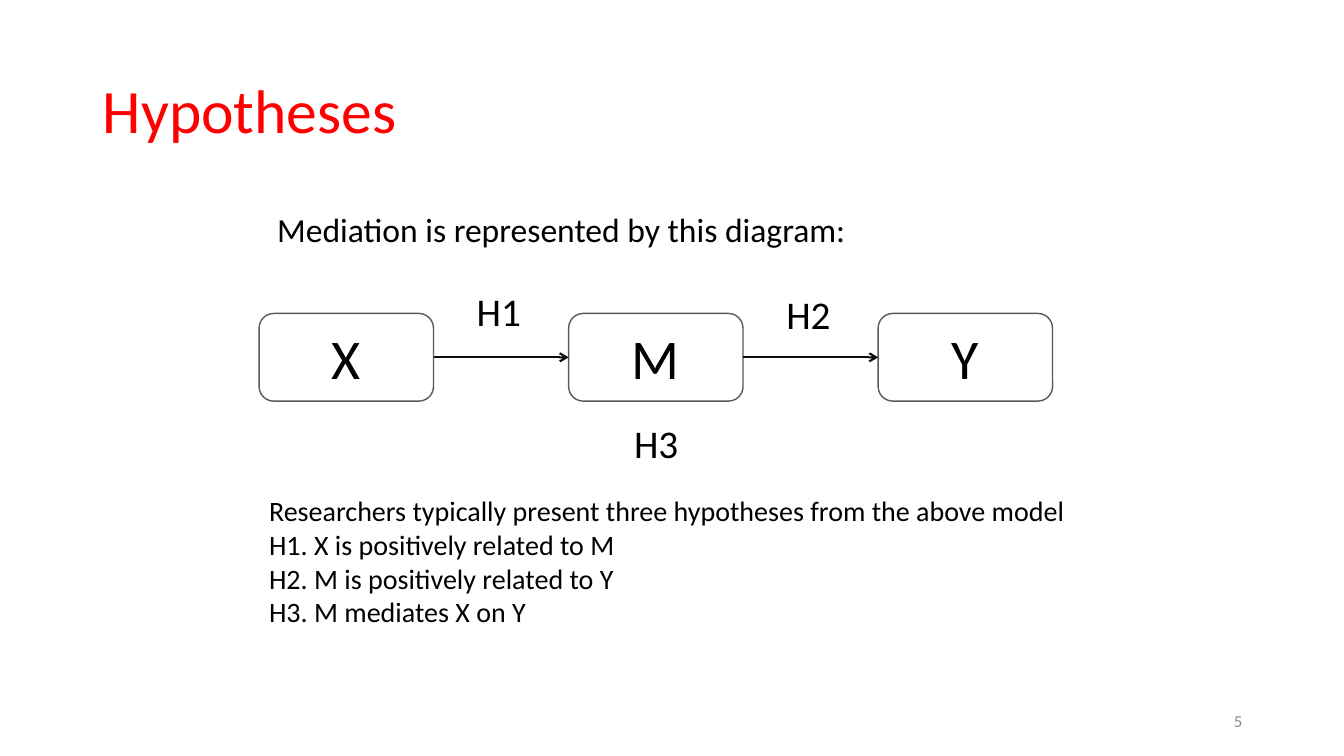
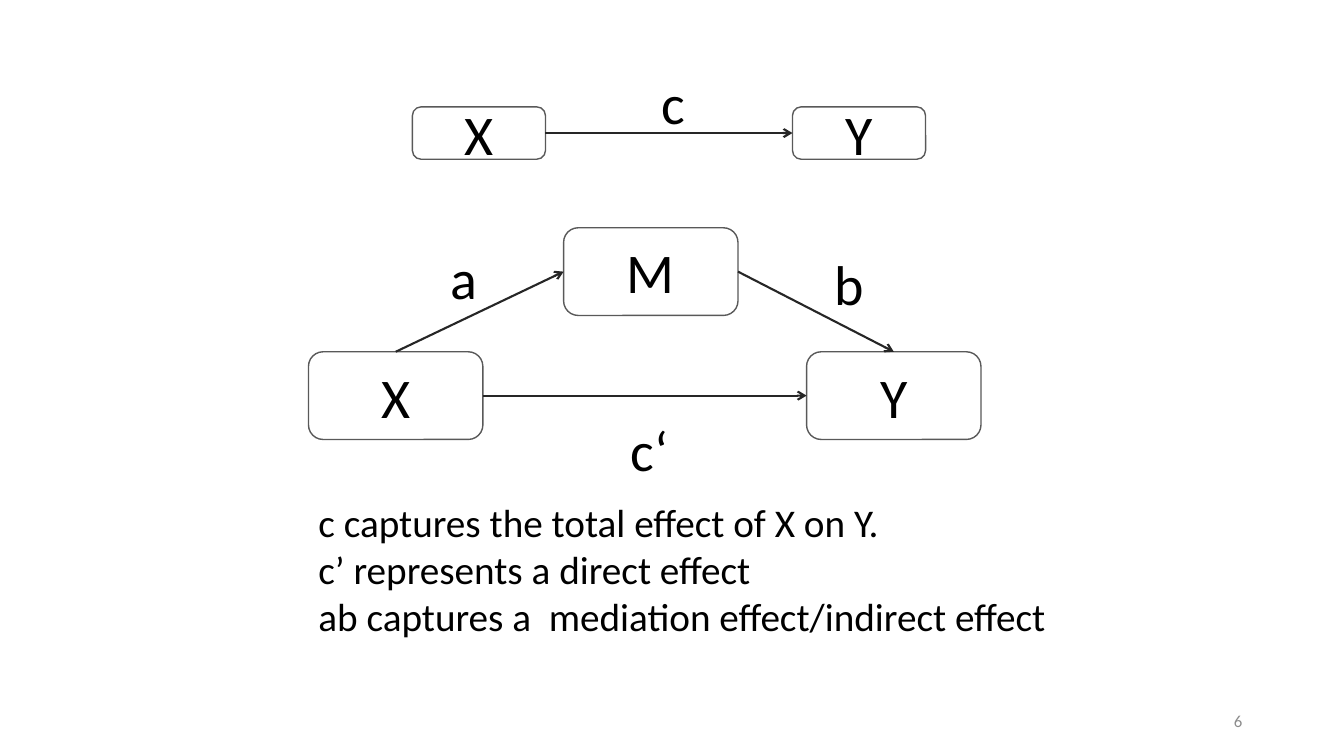
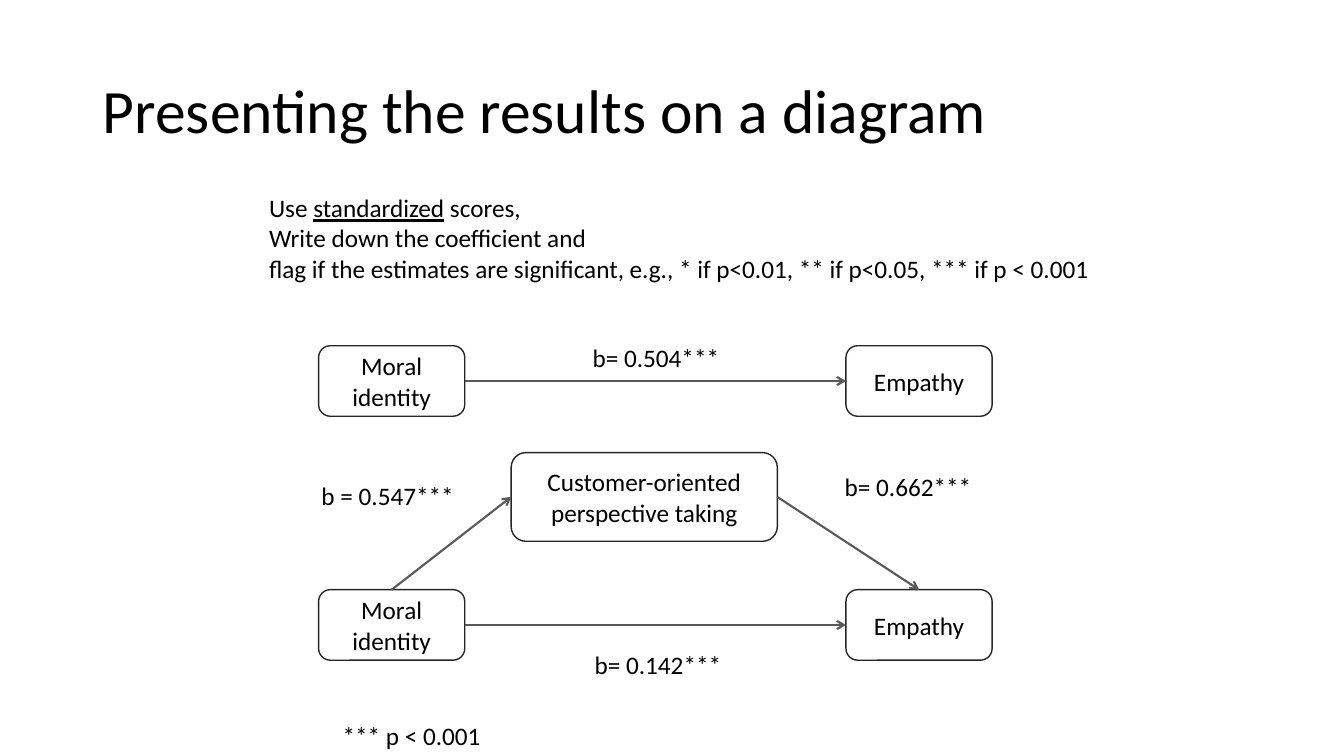
from lxml import etree
from pptx import Presentation
from pptx import util as u
from pptx.dml.color import RGBColor
from pptx.enum import shapes, text
from pptx.oxml.ns import qn

# Shared style: lengths are in px, 100 to the inch
PX = 9144
FONT = "Calibri"
BLACK, RED, GREY = "000000", "FF0000", "8C8C8C"
BOX_LINE, DARK_LINE, ARROW = "595959", "262626", "0D0D0D"
TITLE_ONLY, BLANK = 5, 6
TOP, LEFT, RIGHT = 0, 1, 3  # connection sites of a rounded box


def px(*values):
    return [u.Emu(v * PX) for v in values]


def rgb(color):
    return RGBColor.from_string(color)


def write(tf, lines, size=18, color=BLACK, align=text.PP_ALIGN.LEFT,
          anchor=text.MSO_ANCHOR.TOP, wrap=True, spacing=None):
    """Fill a text frame, one paragraph a line; _words_ are underlined."""
    tf.word_wrap = wrap
    tf.vertical_anchor = anchor
    for i, line in enumerate(lines.split("\n")):
        p = tf.add_paragraph() if i else tf.paragraphs[0]
        p.alignment = align
        if spacing:
            p.line_spacing = spacing
        for j, part in enumerate(line.split("_")):
            r = p.add_run()
            r.text = part
            r.font.name = FONT
            r.font.size = u.Pt(size)
            r.font.color.rgb = rgb(color)
            if j % 2:
                r.font.underline = True


# Kinds of element
def add_title(s, words, color=BLACK):
    sp = s.shapes.title
    sp.left, sp.top, sp.width, sp.height = px(92, 40, 1150, 145)
    write(sp.text_frame, words, size=44, color=color,
          anchor=text.MSO_ANCHOR.MIDDLE, spacing=0.9)


def add_label(s, words, x, y, w, h, wrap=False, **fmt):
    sp = s.shapes.add_textbox(*px(x, y, w, h))
    write(sp.text_frame, words, wrap=wrap, **fmt)


def add_page_number(s, number):
    add_label(s, str(number), 942, 695, 300, 40, wrap=True, size=12,
              color=GREY, align=text.PP_ALIGN.RIGHT,
              anchor=text.MSO_ANCHOR.MIDDLE)


def add_box(s, words, x, y, w, h, size=40, line=BOX_LINE):
    sp = s.shapes.add_shape(shapes.MSO_SHAPE.ROUNDED_RECTANGLE,
                            *px(x, y, w, h))
    sp.shadow.inherit = False
    sp.fill.background()
    sp.line.color.rgb = rgb(line)
    sp.line.width = u.Pt(1)
    write(sp.text_frame, words, size=size, align=text.PP_ALIGN.CENTER,
          anchor=text.MSO_ANCHOR.MIDDLE)
    return sp


def add_arrow(s, start, end, color, start_site=RIGHT, end_site=LEFT):
    c = s.shapes.add_connector(shapes.MSO_CONNECTOR.STRAIGHT, 0, 0, 0, 0)
    c.begin_connect(start, start_site)
    c.end_connect(end, end_site)
    c.line.color.rgb = rgb(color)
    c.line.width = u.Pt(1.5)
    etree.SubElement(c.line._get_or_add_ln(), qn("a:tailEnd"), type="arrow")
    etree.SubElement(c._element.spPr, qn("a:effectLst"))


def add_path(s, boxes, y, w, h, arrow, **fmt):
    """A row of (words, x) boxes, each with an arrow to the next."""
    row = [add_box(s, words, x, y, w, h, **fmt) for words, x in boxes]
    for start, end in zip(row, row[1:]):
        add_arrow(s, start, end, arrow)
    return row


def add_mediation(s, boxes, y, w, h, mediator, arrow, **fmt):
    """A direct path, with a mediator above that links its two ends."""
    cause, effect = add_path(s, boxes, y, w, h, arrow, **fmt)
    middle = add_box(s, *mediator, **fmt)
    add_arrow(s, cause, middle, arrow, start_site=TOP)
    add_arrow(s, middle, effect, arrow, end_site=TOP)


# Slides
def hypotheses_slide(prs):
    s = prs.slides.add_slide(prs.slide_layouts[TITLE_ONLY])
    add_title(s, "Hypotheses", RED)
    add_label(s, "Mediation is represented by this diagram:",
              265, 202, 589, 50, size=24)
    add_path(s, [("X", 257), ("M", 564), ("Y", 871)], 311, 173, 87, ARROW)
    for words, x, y in [("H1", 463, 280), ("H2", 770, 283), ("H3", 619, 411)]:
        add_label(s, words, x, y, 65, 57, size=28)
    add_label(s, "Researchers typically present three hypotheses from the "
                 "above model\n"
                 "H1. X is positively related to M\n"
                 "H2. M is positively related to Y\n"
                 "H3. M mediates X on Y", 257, 485, 817, 145, size=20)
    add_page_number(s, 5)


def effects_slide(prs):
    s = prs.slides.add_slide(prs.slide_layouts[BLANK])
    add_path(s, [("X", 409), ("Y", 786)], 106, 132, 52, DARK_LINE)
    add_mediation(s, [("X", 306), ("Y", 800)], 349, 173, 87,
                  ("M", 559, 226, 173, 87), DARK_LINE)
    for words, x, y, w in [("c", 646, 63, 44), ("a", 437, 237, 47),
                           ("b", 818, 243, 47), ("c‘", 616, 407, 58)]:
        add_label(s, words, x, y, w, 77, size=40)
    add_label(s, "c captures the total effect of X on Y.\n"
                 "c’ represents a direct effect\n"
                 "ab captures a  mediation effect/indirect effect",
              306, 489, 750, 151, size=28)
    add_page_number(s, 6)


def results_slide(prs):
    s = prs.slides.add_slide(prs.slide_layouts[TITLE_ONLY])
    add_title(s, "Presenting the results on a diagram")
    add_label(s, "Use _standardized_ scores,\n"
                 "Write down the coefficient and\n"
                 "flag if the estimates are significant, e.g., * if p<0.01, "
                 "** if p<0.05, *** if p < 0.001", 257, 186, 844, 101)
    ends = [("Moral identity", 316), ("Empathy", 839)]
    fmt = dict(size=18, line=DARK_LINE)
    add_path(s, ends, 343, 145, 70, BOX_LINE, **fmt)
    add_mediation(s, ends, 585, 145, 70,
                  ("Customer-oriented perspective taking", 507, 449, 264, 88),
                  BOX_LINE, **fmt)
    for words, x, y, w in [("b= 0.504***", 578, 335, 147),
                           ("b = 0.547***", 309, 472, 159),
                           ("b= 0.662***", 828, 463, 147),
                           ("b= 0.142***", 580, 639, 147),
                           ("*** p < 0.001", 330, 710, 667)]:
        add_label(s, words, x, y, w, 40, wrap=w > 200)


def main():
    prs = Presentation()
    prs.slide_width, prs.slide_height = u.Inches(13.33), u.Inches(7.5)
    hypotheses_slide(prs)
    effects_slide(prs)
    results_slide(prs)
    prs.save("out.pptx")


if __name__ == "__main__":
    main()
